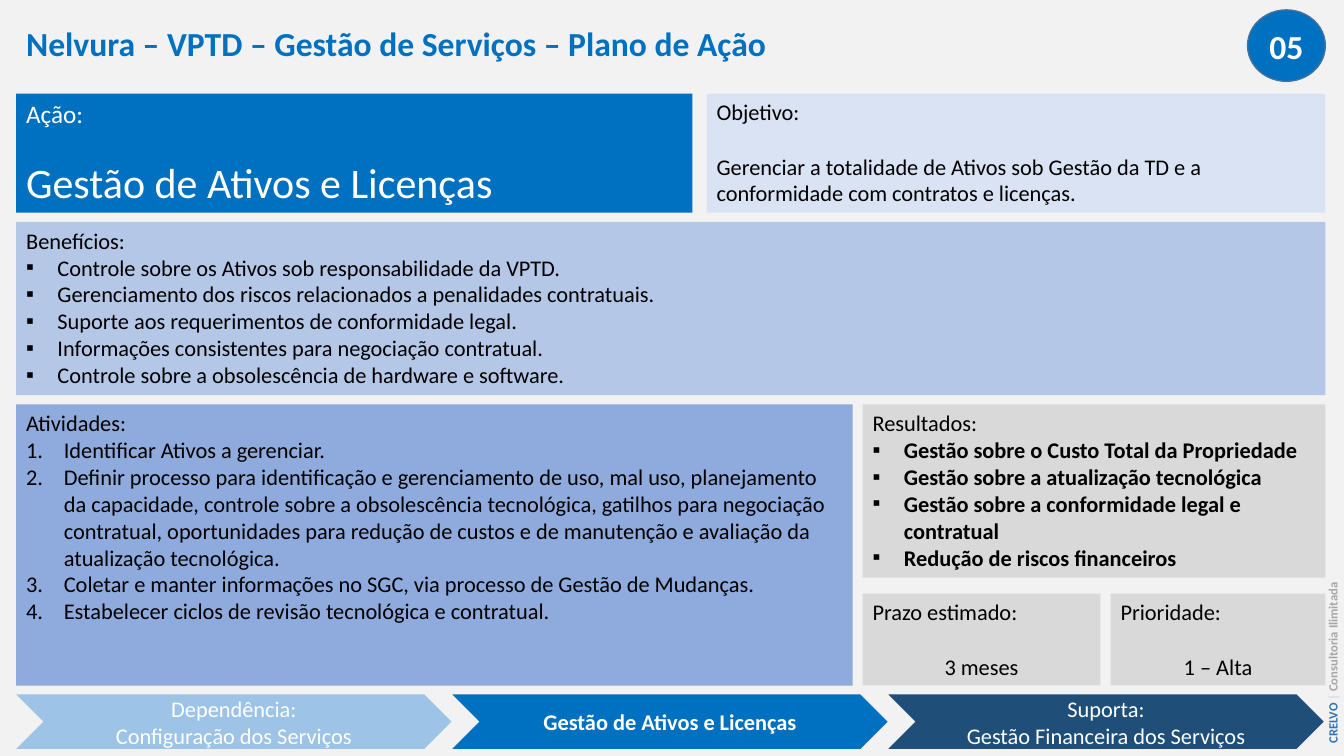
from lxml import etree
from pptx import Presentation
from pptx.dml.color import RGBColor
from pptx.enum.shapes import MSO_SHAPE as Shape
from pptx.enum.text import MSO_ANCHOR as Anchor, PP_ALIGN as Align
from pptx.oxml.ns import qn
from pptx.util import Cm, Pt

COLORS = {
    "background": "F2F2F2", "blue": "0070C0", "outline": "43739E",
    "objective": "DAE3F3", "benefits": "B4C7E7", "activities": "8FAADC",
    "grey": "D9D9D9", "before": "9DC3E6", "after": "1F4E79",
    "firm": "2E75B6", "tagline": "A6A6A6", "white": "FFFFFF", "black": "000000",
}
FONT = "Calibri"
LEFT, RIGHT = 0.41, 33.4
BLANK_LINE = 19.5  # points: one empty line of 16 pt text
SQUARE = ("buChar", {"char": "▪"}, 0.79)
NUMBER = ("buAutoNum", {"type": "arabicPeriod"}, 0.95)


def rgb(name):
    return RGBColor.from_string(COLORS[name])


def style(font, size, color, bold=False):
    font.name, font.size, font.bold = FONT, Pt(size), bold
    font.color.rgb = rgb(color)


def add_bullet(paragraph, marker):
    tag, attributes, indent = marker
    properties = paragraph._p.get_or_add_pPr()
    properties.set("marL", str(Cm(indent)))
    properties.set("indent", str(-Cm(indent)))
    if marker is SQUARE:
        etree.SubElement(properties, qn("a:buFont"), typeface="Arial")
    etree.SubElement(properties, qn(f"a:{tag}"), attributes)


def write(frame, text, size=16, color="black", bold=False, align=Align.LEFT,
          gap=0, marker=None):
    """Add one paragraph, using the first one while it is still empty."""
    first = frame.paragraphs[0]
    paragraph = frame.add_paragraph() if first.runs else first
    paragraph.add_run().text = text
    paragraph.alignment = align
    if gap:
        paragraph.space_before = Pt(gap)
    if marker:
        add_bullet(paragraph, marker)
    style(paragraph.font, size, color, bold)
    return paragraph


def add_block(slide, box, fill, kind=Shape.RECTANGLE, anchor=Anchor.TOP):
    block = slide.shapes.add_shape(kind, *map(Cm, box))
    block.shadow.inherit = False
    block.fill.solid()
    block.fill.fore_color.rgb = rgb(fill)
    block.line.fill.background()
    block.text_frame.word_wrap = True
    block.text_frame.vertical_anchor = anchor
    return block


def add_header(slide, left, top, width, height):
    title = slide.shapes.add_textbox(Cm(left), Cm(top), Cm(27.76), Cm(height)).text_frame
    title.word_wrap = True
    title.vertical_anchor = Anchor.MIDDLE
    heading = write(title, "Nelvura – VPTD – Gestão de Serviços – Plano de Ação",
                    24, "blue", True)
    heading.line_spacing = 0.9
    # Page number badge
    badge_width = 1.96
    badge = add_block(slide, (left + width - badge_width, top + 0.3, badge_width, 1.8),
                      "blue", Shape.FLOWCHART_CONNECTOR, Anchor.MIDDLE)
    badge.line.color.rgb = rgb("outline")
    badge.line.width = Pt(1)
    write(badge.text_frame, "05", 24, "white", True, Align.CENTER)


def add_action(slide, *box):
    frame = add_block(slide, box, "blue").text_frame
    write(frame, "Ação:", 18, "white")
    write(frame, "Gestão de Ativos e Licenças", 30, "white", gap=BLANK_LINE)


def add_field(slide, box, fill, label, value, align=Align.LEFT):
    frame = add_block(slide, box, fill).text_frame
    write(frame, label)
    write(frame, value, align=align, gap=BLANK_LINE)


def add_list(slide, box, fill, label, items, marker=SQUARE, bold=False):
    frame = add_block(slide, box, fill).text_frame
    write(frame, label)
    for item in items:
        write(frame, item, bold=bold, marker=marker)


def add_chain(slide, left, top, width, height, steps):
    pitch = width / len(steps)
    for index, (fill, lines, bold) in enumerate(steps):
        step = add_block(slide, (left + index * pitch, top, pitch - 0.02, height),
                         fill, Shape.CHEVRON, Anchor.MIDDLE)
        for line in lines:
            write(step.text_frame, line, 16, "white", bold, Align.CENTER)


def add_signature(slide, *box):
    signature = slide.shapes.add_textbox(*map(Cm, box))
    signature.rotation = 270
    signature.text_frame.word_wrap = True
    paragraph = signature.text_frame.paragraphs[0]
    for text, color in (("CRELVO ", "firm"), ("| ", "grey"),
                        ("Consultoria Ilimitada", "tagline")):
        run = paragraph.add_run()
        run.text = text
        style(run.font, 9, color, True)


def build_action_plan(slide):
    slide.background.fill.solid()
    slide.background.fill.fore_color.rgb = rgb("background")
    width = RIGHT - LEFT
    add_header(slide, LEFT, -0.05, width, 2.39)

    # Action and objective
    objective_left = 17.81
    add_action(slide, LEFT, 2.36, 17.04, 3)
    add_field(slide, (objective_left, 2.36, RIGHT - objective_left, 3), "objective",
              "Objetivo:", "Gerenciar a totalidade de Ativos sob Gestão da TD e a "
              "conformidade com contratos e licenças.")

    # Benefits
    add_list(slide, (LEFT, 5.59, width, 4.37), "benefits", "Benefícios:", (
        "Controle sobre os Ativos sob responsabilidade da VPTD.",
        "Gerenciamento dos riscos relacionados a penalidades contratuais.",
        "Suporte aos requerimentos de conformidade legal.",
        "Informações consistentes para negociação contratual.",
        "Controle sobre a obsolescência de hardware e software.",
    ))

    # Activities and results
    results_left, priority_left = 21.74, 27.99
    add_list(slide, (LEFT, 10.19, 21.08, 7.09), "activities", "Atividades:", (
        "Identificar Ativos a gerenciar.",
        "Definir processo para identificação e gerenciamento de uso, mal uso, "
        "planejamento da capacidade, controle sobre a obsolescência tecnológica, "
        "gatilhos para negociação contratual, oportunidades para redução de custos "
        "e de manutenção e avaliação da atualização tecnológica.",
        "Coletar e manter informações no SGC, via processo de Gestão de Mudanças.",
        "Estabelecer ciclos de revisão tecnológica e contratual.",
    ), NUMBER)
    add_list(slide, (results_left, 10.19, RIGHT - results_left, 4.37), "grey",
             "Resultados:", (
                 "Gestão sobre o Custo Total da Propriedade",
                 "Gestão sobre a atualização tecnológica",
                 "Gestão sobre a conformidade legal e contratual",
                 "Redução de riscos financeiros",
             ), bold=True)

    # Deadline and priority
    add_field(slide, (results_left, 14.96, 5.99, 2.31), "grey",
              "Prazo estimado:", "3 meses", Align.CENTER)
    add_field(slide, (priority_left, 14.96, RIGHT - priority_left, 2.31), "grey",
              "Prioridade:", "1 – Alta", Align.CENTER)

    # Dependency chain
    add_chain(slide, LEFT, 17.5, 32.97, 1.37, (
        ("before", ("Dependência:", "Configuração dos Serviços"), False),
        ("blue", ("Gestão de Ativos e Licenças",), True),
        ("after", ("Suporta:", "Gestão Financeira dos Serviços"), False),
    ))
    add_signature(slide, 31.14, 16.21, 4.9, 0.64)


def main():
    deck = Presentation()
    deck.slide_width, deck.slide_height = Cm(33.87), Cm(19.05)
    build_action_plan(deck.slides.add_slide(deck.slide_layouts[6]))
    deck.save("out.pptx")


if __name__ == "__main__":
    main()
